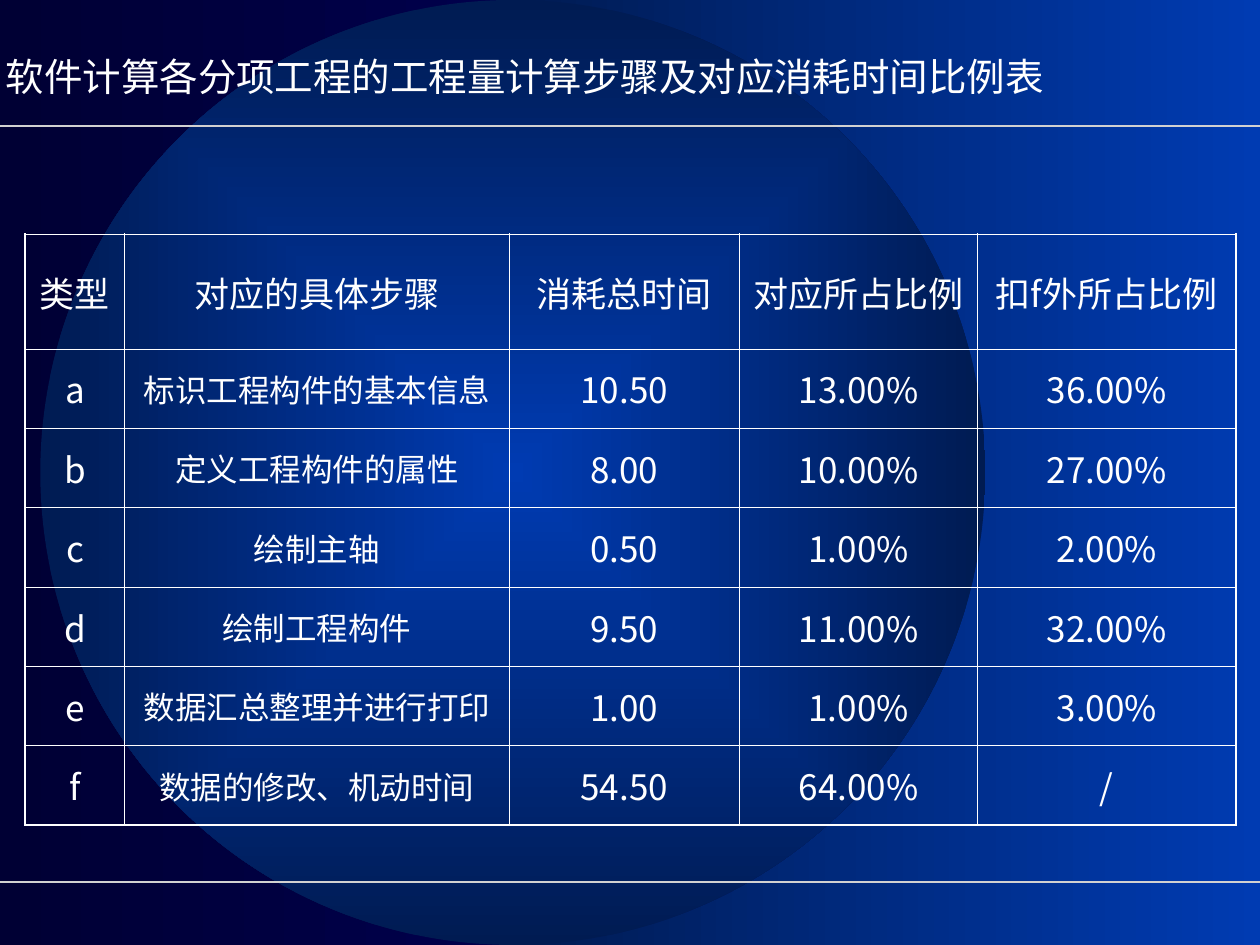
from lxml.etree import SubElement
from pptx import Presentation
from pptx.dml.color import RGBColor
from pptx.enum.shapes import MSO_CONNECTOR, MSO_SHAPE
from pptx.enum.text import MSO_ANCHOR, PP_ALIGN
from pptx.oxml.ns import qn
from pptx.util import Inches, Pt

COLORS = {
    "white": "FFFFFF",
    "rule": "D1D1D1",
    "navy": "000072",
    "midnight": "000034",
    "blue": "003BB2",
    "deep": "001B52",
}
TITLE = "软件计算各分项工程的工程量计算步骤及对应消耗时间比例表"
ROWS = [
    ["类型", "对应的具体步骤", "消耗总时间", "对应所占比例", "扣f外所占比例"],
    ["a", "标识工程构件的基本信息", "10.50", "13.00%", "36.00%"],
    ["b", "定义工程构件的属性", "8.00", "10.00%", "27.00%"],
    ["c", "绘制主轴", "0.50", "1.00%", "2.00%"],
    ["d", "绘制工程构件", "9.50", "11.00%", "32.00%"],
    ["e", "数据汇总整理并进行打印", "1.00", "1.00%", "3.00%"],
    ["f", "数据的修改、机动时间", "54.50", "64.00%", "/"],
]
COLUMN_WIDTHS = [0.79, 3.05, 1.83, 1.89, 2.05]
HEADER_HEIGHT, ROW_HEIGHT = 0.91, 0.63
INNER_LINE, OUTER_LINE = 0.45, 1.08
PLAIN_TABLE_STYLE = "{2D5ABB26-0587-4C30-8999-92F81FD0307C}"


def color(name):
    return RGBColor.from_string(COLORS[name])


def write_text(frame, text, size, font, align, before=0):
    frame.word_wrap = True
    para = frame.paragraphs[0]
    para.alignment = align
    para.space_before = Pt(before)
    span = para.add_run()
    span.text = text
    span.font.size = Pt(size)
    span.font.name = font
    span.font.color.rgb = color("white")
    SubElement(span.font._element, qn("a:ea"), typeface="Noto Sans CJK SC")


class SlideBuilder:
    def __init__(self, page):
        self.page = page
        self.title_font = "Arial"
        self.table_font = "Noto Sans CJK SC"

    def gradient(self, fill, start, end):
        fill.gradient()
        fill.gradient_angle = 180
        for stop, name in zip(fill.gradient_stops, (start, end)):
            stop.color.rgb = color(name)

    def background(self, start, end):
        self.gradient(self.page.background.fill, start, end)

    def shape(self, kind, left, top, width, height, centered=False):
        shape = self.page.shapes.add_shape(
            kind, Inches(left), Inches(top), Inches(width), Inches(height))
        shape.shadow.inherit = False
        shape.line.fill.background()
        self.gradient(shape.fill, "blue", "deep")
        if centered:
            gradient = shape._element.spPr.find(qn("a:gradFill"))
            gradient.remove(gradient.find(qn("a:lin")))
            route = SubElement(gradient, qn("a:path"), path="rect")
            SubElement(route, qn("a:fillToRect"),
                       l="50000", t="50000", r="50000", b="50000")

    def rule(self, top):
        line = self.page.shapes.add_connector(
            MSO_CONNECTOR.STRAIGHT, 0, Inches(top), Inches(10), Inches(top))
        line.line.color.rgb = color("rule")
        line.line.width = Pt(1)
        SubElement(line._element.spPr, qn("a:effectLst"))

    def title(self, text, left, top, width, height):
        box = self.page.shapes.add_textbox(
            Inches(left), Inches(top), Inches(width), Inches(height))
        box.text_frame.vertical_anchor = MSO_ANCHOR.MIDDLE
        write_text(box.text_frame, text, size=22, font=self.title_font,
                   align=PP_ALIGN.RIGHT)

    def borders(self, cell, outer_sides):
        properties = cell._tc.get_or_add_tcPr()
        for side in ("L", "R", "T", "B"):
            points = OUTER_LINE if side in outer_sides else INNER_LINE
            edge = SubElement(properties, qn(f"a:ln{side}"), w=str(Pt(points)))
            solid = SubElement(edge, qn("a:solidFill"))
            SubElement(solid, qn("a:srgbClr"), val=COLORS["white"])

    def table(self, rows, left, top):
        heights = [HEADER_HEIGHT] + [ROW_HEIGHT] * (len(rows) - 1)
        table = self.page.shapes.add_table(
            len(rows), len(COLUMN_WIDTHS), Inches(left), Inches(top),
            Inches(sum(COLUMN_WIDTHS)), Inches(sum(heights))).table
        table.first_row = False
        table.horz_banding = False
        table._tbl.tblPr.find(qn("a:tableStyleId")).text = PLAIN_TABLE_STYLE
        for column, width in zip(table.columns, COLUMN_WIDTHS):
            column.width = Inches(width)
        for row, height in zip(table.rows, heights):
            row.height = Inches(height)
        last_row, last_column = len(rows) - 1, len(COLUMN_WIDTHS) - 1
        for i, values in enumerate(rows):
            for j, text in enumerate(values):
                cell = table.cell(i, j)
                cell.vertical_anchor = MSO_ANCHOR.MIDDLE
                edges = {"T": i == 0, "B": i == last_row,
                         "L": j == 0, "R": j == last_column}
                self.borders(cell, [side for side in edges if edges[side]])
                cell.fill.background()
                size = 18 if i > 0 and j == 1 else 20
                write_text(cell.text_frame, text, size=size,
                           font=self.table_font, align=PP_ALIGN.CENTER,
                           before=size / 4)


def main():
    deck = Presentation()
    deck.slide_width, deck.slide_height = Inches(10), Inches(7.5)
    slide = SlideBuilder(deck.slides.add_slide(deck.slide_layouts[6]))
    slide.background("navy", "midnight")
    slide.shape(MSO_SHAPE.RECTANGLE, 4.08, 0, 5.92, 7.5)
    slide.shape(MSO_SHAPE.OVAL, 0.32, 0, 7.5, 7.5, centered=True)
    for top in (1, 7):
        slide.rule(top)
    slide.title(TITLE, -0.2, 0.14, 8.58, 0.92)
    slide.table(ROWS, 0.2, 1.86)
    deck.save("out.pptx")


if __name__ == "__main__":
    main()
